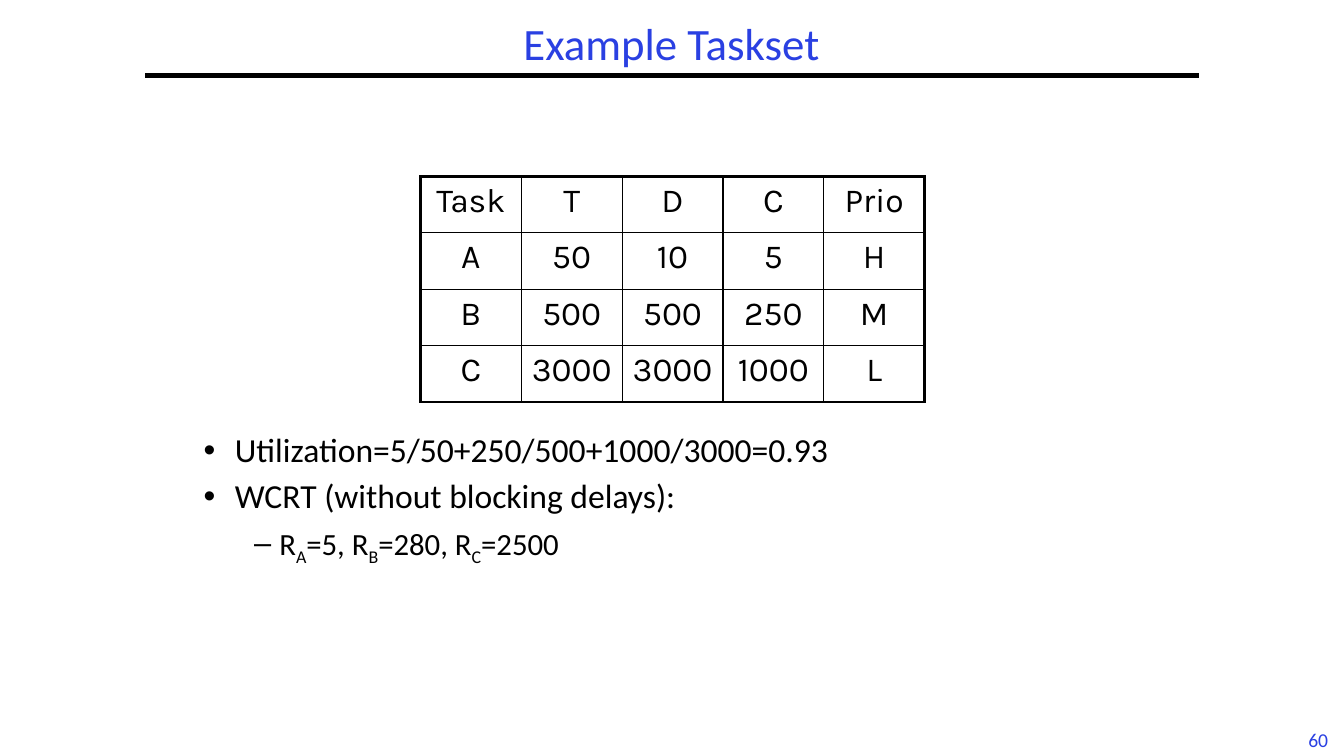
import pptx
import pptx.util
import pptx.dml.color
import pptx.enum.text
import pptx.enum.shapes
import pptx.oxml

TITLE = "Example Taskset"
PAGE = "60"
TASKS = [
    ("Task", "T", "D", "C", "Prio"),
    ("A", "50", "10", "5", "H"),
    ("B", "500", "500", "250", "M"),
    ("C", "3000", "3000", "1000", "L"),
]
POINTS = [
    (0, ["Utilization=5/50+250/500+1000/3000=0.93"]),
    (0, ["WCRT (without blocking delays):"]),
    (1, ["R", "A", "=5, R", "B", "=280, R", "C", "=2500"]),
]
LEVELS = [(24, 0.31, -0.31), (22, 0.75, -0.25)]
BLUE, BLACK = "2A40E2", "000000"
COL, ROW = 1, 0.56
THICK, THIN = 2.25, 1

Inches, Pt = pptx.util.Inches, pptx.util.Pt
ALIGN = pptx.enum.text.PP_ALIGN
ANCHOR = pptx.enum.text.MSO_ANCHOR


def paint(code):
    return pptx.dml.color.RGBColor.from_string(code)


def write(para, *parts, size=24, font="Calibri", color=BLACK,
          align=ALIGN.CENTER, lead=None, before=0):
    para.alignment = align
    para.space_before = Pt(before)
    if lead:
        para.line_spacing = lead
    for n, part in enumerate(parts):
        run = para.add_run()
        run.text = part
        run.font.size = Pt(size)
        run.font.name = font
        run.font.color.rgb = paint(color)
        if n % 2:
            run.font._element.set("baseline", "-25000")


def place(shape, left, top, width, height, anchor=ANCHOR.TOP):
    shape.left, shape.top = Inches(left), Inches(top)
    shape.width, shape.height = Inches(width), Inches(height)
    frame = shape.text_frame
    frame.auto_size = pptx.enum.text.MSO_AUTO_SIZE.NONE
    frame.vertical_anchor = anchor
    return frame


def edge(cell, side, width):
    ns = "http://schemas.openxmlformats.org/drawingml/2006/main"
    line = pptx.oxml.parse_xml(
        f'<a:ln{side} xmlns:a="{ns}" w="{Pt(width)}"><a:solidFill>'
        f'<a:srgbClr val="{BLACK}"/></a:solidFill></a:ln{side}>')
    cell._tc.get_or_add_tcPr().append(line)


def draw_table(slide):
    rows, cols = len(TASKS), len(TASKS[0])
    table = slide.shapes.add_table(
        rows, cols, Inches(4.17), Inches(1.75),
        Inches(cols * COL), Inches(rows * ROW)).table
    table.first_row = table.horz_banding = False
    for r, task in enumerate(TASKS):
        table.rows[r].height = Inches(ROW)
        for c, word in enumerate(task):
            cell = table.cell(r, c)
            write(cell.text_frame.paragraphs[0], word, font="Karla")
            outer = {"L": c == 0, "R": c == cols - 1,
                     "T": r == 0, "B": r == rows - 1}
            for side, thick in outer.items():
                edge(cell, side, THICK if thick else THIN)
            cell.fill.background()


def main():
    deck = pptx.Presentation()
    deck.slide_width, deck.slide_height = Inches(13.33), Inches(7.5)
    slide = deck.slides.add_slide(deck.slide_layouts[1])
    title, body = slide.placeholders

    frame = place(title, 1.44, 0.17, 10.44, 0.58, ANCHOR.MIDDLE)
    write(frame.paragraphs[0], TITLE, size=32, color=BLUE, lead=0.9)

    rule = slide.shapes.add_connector(
        pptx.enum.shapes.MSO_CONNECTOR.STRAIGHT,
        Inches(1.44), Inches(0.75), Inches(11.89), Inches(0.75))
    rule.line.color.rgb = paint(BLACK)
    rule.line.width = Pt(3)
    rule._element.spPr.append(pptx.oxml.parse_xml(
        '<a:effectLst xmlns:a='
        '"http://schemas.openxmlformats.org/drawingml/2006/main"/>'))

    draw_table(slide)

    frame = place(body, 1.92, 4.25, 9.58, 2.92)
    for n, (level, parts) in enumerate(POINTS):
        para = frame.add_paragraph() if n else frame.paragraphs[0]
        size, left, hang = LEVELS[level]
        para.level = level
        write(para, *parts, size=size, align=ALIGN.LEFT, lead=0.9,
              before=7 if n else 0)
        props = para._p.get_or_add_pPr()
        props.set("marL", str(Inches(left)))
        props.set("indent", str(Inches(hang)))

    box = slide.shapes.add_textbox(0, 0, 0, 0)
    frame = place(box, 12.86, 7.17, 0.43, 0.33)
    frame.word_wrap = False
    write(frame.paragraphs[0], PAGE, size=14, color=BLUE)

    deck.save("out.pptx")


if __name__ == "__main__":
    main()
